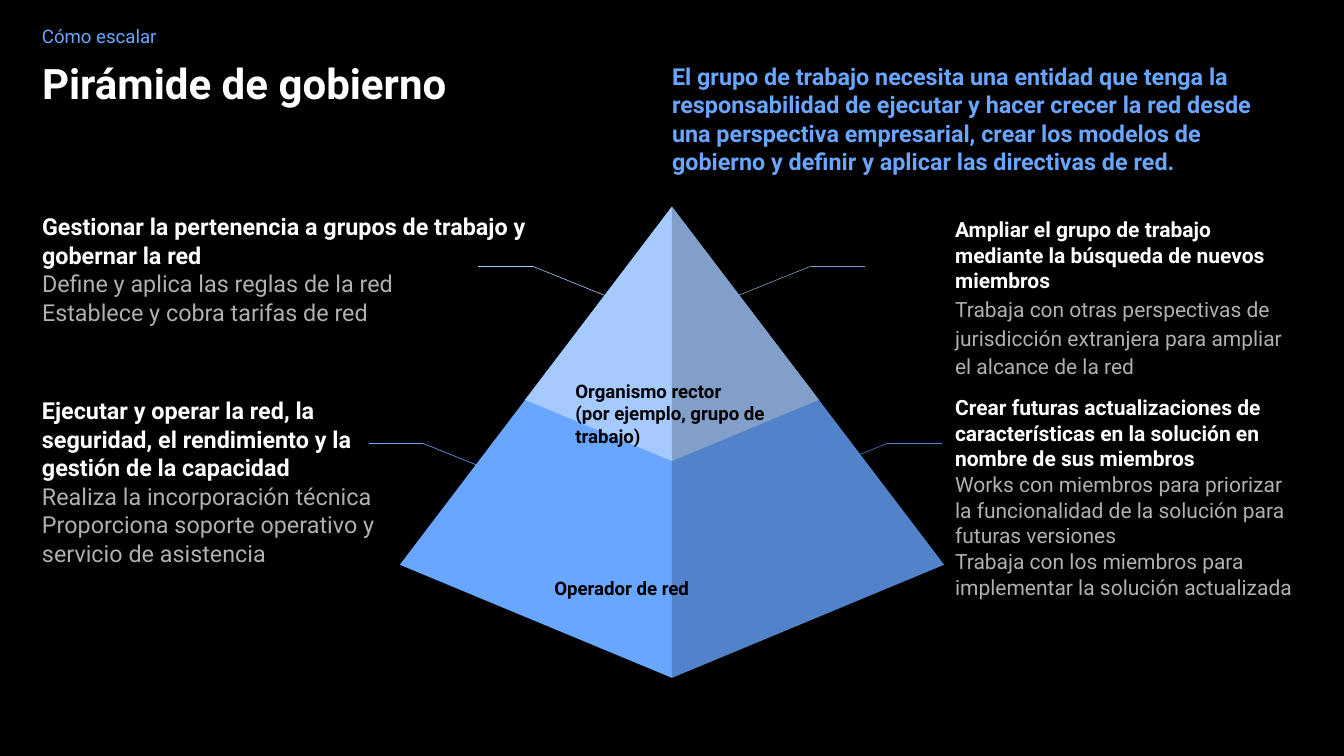
from dataclasses import dataclass

from lxml.etree import SubElement
from pptx import Presentation
from pptx.dml.color import RGBColor
from pptx.enum.shapes import MSO_CONNECTOR, MSO_SHAPE
from pptx.enum.text import MSO_ANCHOR, PP_ALIGN
from pptx.oxml.ns import qn
from pptx.util import Inches, Pt


@dataclass(frozen=True)
class Theme:
    font: str = "Roboto"
    background: str = "000000"
    white: str = "FFFFFF"
    gray: str = "B0B0B0"
    blue: str = "69A6FF"
    light_blue: str = "A5CAFF"
    shade_opacity: int = 21
    title: int = 36
    lead: int = 20
    detail: int = 18
    label: int = 16
    line: float = 0.5
    spacing: float = 1.02


THEME = Theme()
WIDTH, HEIGHT = 16, 9
MARGIN = 0.5
CENTER = WIDTH / 2
RIGHT_COLUMN = 11.37


def color(value):
    return RGBColor.from_string(value)


def write(shape, paragraphs, size, spacing=THEME.spacing):
    """Fill a shape with (text, colour, bold) paragraphs."""
    frame = shape.text_frame
    frame.word_wrap = True
    frame.vertical_anchor = MSO_ANCHOR.TOP
    frame.margin_left = frame.margin_right = 0
    frame.margin_top = frame.margin_bottom = 0
    for index, (text, text_color, bold) in enumerate(paragraphs):
        paragraph = frame.add_paragraph() if index else frame.paragraphs[0]
        paragraph.alignment = PP_ALIGN.LEFT
        paragraph.line_spacing = spacing
        paragraph.space_before = Pt(0)
        run = paragraph.add_run()
        run.text = text
        run.font.name = THEME.font
        run.font.size = Pt(size)
        run.font.bold = bold
        run.font.color.rgb = color(text_color)


def add_text(slide, box, paragraphs, size, spacing=THEME.spacing):
    shape = slide.shapes.add_textbox(*map(Inches, box))
    write(shape, paragraphs, size, spacing)


def add_header(slide, box):
    """Section name, title and, in the right half, the key message."""
    left, top, width, height = box
    add_text(slide, (left, top, width / 2, 0.3),
             [("Cómo escalar", THEME.blue, False)], THEME.label)
    title = slide.shapes.title
    title.left, title.top = Inches(left), Inches(top + 0.46)
    title.width, title.height = Inches(CENTER - left), Inches(height - 0.46)
    write(title, [("Pirámide de gobierno", THEME.white, True)], THEME.title, 0.9)
    message = (
        "El grupo de trabajo necesita una entidad que tenga la responsabilidad "
        "de ejecutar y hacer crecer la red desde una perspectiva empresarial, "
        "crear los modelos de gobierno y definir y aplicar las directivas de red."
    )
    add_text(slide, (CENTER, top + 0.44, 7.05, height - 0.44),
             [(message, THEME.blue, True)], THEME.lead)


def add_callout(slide, x, y, direction, line_color):
    """Bent leader that rises outwards from the pyramid, then runs level."""
    elbow = x + direction * 1.14
    points = [(x, y), (elbow, y - 0.46), (elbow + direction * 0.65, y - 0.46)]
    for start, end in zip(points, points[1:]):
        line = slide.shapes.add_connector(
            MSO_CONNECTOR.STRAIGHT, *map(Inches, start + end))
        line.line.color.rgb = color(line_color)
        line.line.width = Pt(THEME.line)
        SubElement(line._element.spPr, qn("a:effectLst"))


def add_tier(slide, top, half_width, shoulder, bottom, fill_color):
    """Kite-shaped tier, symmetrical about the slide's centre."""
    points = [(CENTER, top), (CENTER + half_width, top + shoulder),
              (CENTER, top + bottom), (CENTER - half_width, top + shoulder)]
    corners = [(Inches(x), Inches(y)) for x, y in points]
    builder = slide.shapes.build_freeform(*corners[0])
    builder.add_line_segments(corners[1:], close=True)
    tier = builder.convert_to_shape()
    tier.shadow.inherit = False
    tier.fill.solid()
    tier.fill.fore_color.rgb = color(fill_color)
    tier.line.fill.background()


def add_shade(slide, box):
    """Translucent cover that darkens the right face."""
    shade = slide.shapes.add_shape(MSO_SHAPE.RECTANGLE, *map(Inches, box))
    shade.shadow.inherit = False
    shade.line.fill.background()
    shade.fill.solid()
    shade.fill.fore_color.rgb = color(THEME.background)
    fill = shade._element.spPr.find(qn("a:solidFill"))
    SubElement(fill[0], qn("a:alpha"), val=str(THEME.shade_opacity * 1000))


def add_pyramid(slide, box):
    left, top, width, height = box
    half = width / 2

    # Leaders, tucked behind the tiers
    for x, y, direction, line_color in (
        (7.48, 3.63, -1, THEME.light_blue),
        (8.51, 3.63, 1, THEME.light_blue),
        (6.18, 5.74, -1, THEME.blue),
        (9.42, 5.74, 1, THEME.blue),
    ):
        add_callout(slide, x, y, direction, line_color)

    # Tiers and right-hand shade
    add_tier(slide, top, half, height * 0.76, height, THEME.blue)
    add_tier(slide, top, half * 0.54, height * 0.41, height * 0.54,
             THEME.light_blue)
    add_shade(slide, (CENTER, top - 0.1, half, height + 0.2))

    # Tier names
    for label_box, lines in (
        ((6.85, 4.52, 2.3, 1.07),
         ["Organismo rector", "(por ejemplo, grupo de trabajo)"]),
        ((6.6, 6.87, 2.84, 0.4), ["Operador de red"]),
    ):
        add_text(slide, label_box,
                 [(text, THEME.background, True) for text in lines],
                 THEME.label, 1.0)


def add_duty(slide, box, size, heading, details, detail_spacing=THEME.spacing):
    add_text(slide, box, [(heading, THEME.white, True)]
             + [(text, THEME.gray, False) for text in details], size)
    for paragraph in slide.shapes[-1].text_frame.paragraphs[1:]:
        paragraph.line_spacing = detail_spacing


def add_duties(slide):
    add_duty(slide, (MARGIN, 2.52, 6.15, 1.98), THEME.lead,
             "Gestionar la pertenencia a grupos de trabajo y gobernar la red",
             ["Define y aplica las reglas de la red",
              "Establece y cobra tarifas de red"])
    add_duty(slide, (MARGIN, 4.71, 4.06, 1.98), THEME.lead,
             "Ejecutar y operar la red, la seguridad, el rendimiento y la "
             "gestión de la capacidad",
             ["Realiza la incorporación técnica",
              "Proporciona soporte operativo y servicio de asistencia"])
    add_duty(slide, (RIGHT_COLUMN, 2.57, 4.08, 1.93), THEME.detail,
             "Ampliar el grupo de trabajo mediante la búsqueda de nuevos miembros",
             ["Trabaja con otras perspectivas de jurisdicción extranjera para "
              "ampliar el alcance de la red"], detail_spacing=1.14)
    add_duty(slide, (RIGHT_COLUMN, 4.69, 4.06, 3.22), THEME.detail,
             "Crear futuras actualizaciones de características en la solución "
             "en nombre de sus miembros",
             ["Works con miembros para priorizar la funcionalidad de la "
              "solución para futuras versiones",
              "Trabaja con los miembros para implementar la solución actualizada"])


def main():
    presentation = Presentation()
    presentation.slide_width = Inches(WIDTH)
    presentation.slide_height = Inches(HEIGHT)
    slide = presentation.slides.add_slide(presentation.slide_layouts[5])
    slide.background.fill.solid()
    slide.background.fill.fore_color.rgb = color(THEME.background)
    add_header(slide, (MARGIN, 0.29, WIDTH - 2 * MARGIN, 1.9))
    add_pyramid(slide, (CENTER - 3.24, 2.46, 6.48, 5.61))
    add_duties(slide)
    presentation.save("out.pptx")


if __name__ == "__main__":
    main()
